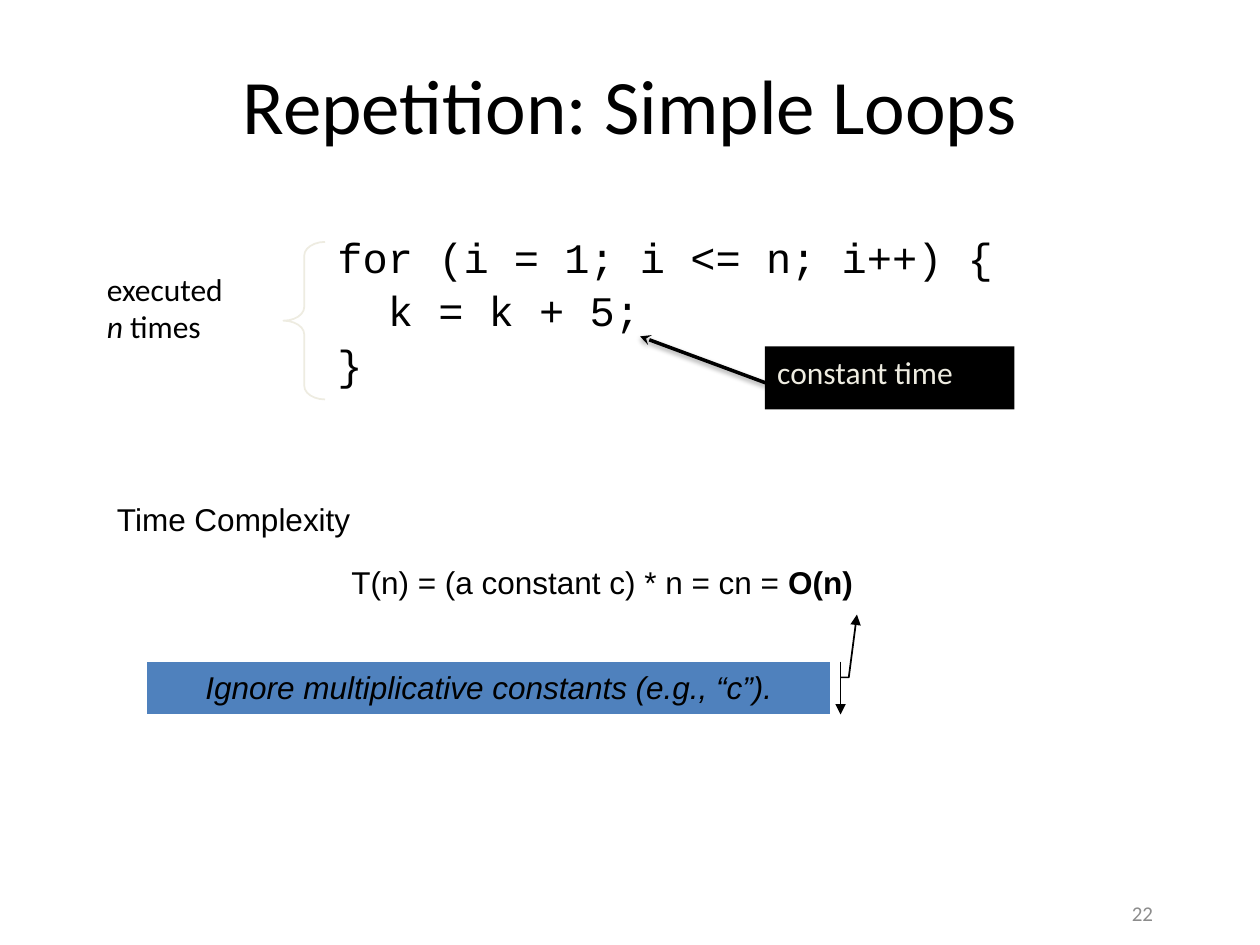
"""Build the slide on the time complexity of simple loops."""
from lxml.etree import SubElement
from pptx import Presentation
from pptx.dml.color import RGBColor
from pptx.enum.shapes import MSO_CONNECTOR, MSO_SHAPE
from pptx.enum.text import MSO_ANCHOR as Anchor, PP_ALIGN as Align
from pptx.oxml.ns import qn
from pptx.util import Inches, Pt

COLORS = {"ink": "000000", "paper": "FFFFFF", "cream": "EEECE1",
          "blue": "4F81BD", "gray": "8C8C8C"}

TITLE = [[("Repetition: Simple Loops", "")]]
CODE = [[("for (i = 1; i <= n; i++) {", "")], [("  k = k + 5;", "")], [("}", "")]]
STEP_COST = [[("constant time", "")]]
REPEATS = [[("executed", "")], [("n", "i"), (" times", "")]]
HEADING = [[("Time Complexity", "")]]
FORMULA = [[("T(n) = (a constant c) * n = cn = ", ""), ("O(n)", "b")]]
RULE = [[("Ignore multiplicative constants (e.g., “c”).", "i")]]
PAGE = [[("22", "")]]

BRACE_CURVE = (0.33, 0.5)
CALLOUT_BENDS = (0.3, 1.015, 0.3, 1.027, -0.887, 1.039)


def color(name):
    return RGBColor.from_string(COLORS[name])


def write(shape, lines, font, size=18, ink="ink", align=Align.LEFT,
          anchor=Anchor.TOP, spacing=None, before=None):
    frame = shape.text_frame
    frame.word_wrap = True
    frame.vertical_anchor = anchor
    for index, line in enumerate(lines):
        paragraph = frame.add_paragraph() if index else frame.paragraphs[0]
        paragraph.alignment = align
        paragraph.line_spacing = spacing
        paragraph.space_before = before
        for text, style in line:
            run = paragraph.add_run()
            run.text = text
            run.font.name = font
            run.font.size = Pt(size)
            run.font.color.rgb = color(ink)
            run.font.bold = style == "b"
            run.font.italic = style == "i"


def paint(shape, fill):
    shape.fill.solid()
    shape.fill.fore_color.rgb = color(fill)


def add_text(box, lines, font, fill=None, **style):
    shape = slide.shapes.add_textbox(*map(Inches, box))
    if fill:
        paint(shape, fill)
    write(shape, lines, font, **style)


def draw_line(shape, ink, width):
    shape.line.color.rgb = color(ink)
    shape.line.width = Pt(width)


def add_outline(kind, box, ink, adjustments):
    shape = slide.shapes.add_shape(kind, *map(Inches, box))
    shape.shadow.inherit = False
    shape.fill.background()
    draw_line(shape, ink, 1)
    for index, value in enumerate(adjustments):
        shape.adjustments[index] = value
    return shape


def add_arrowhead(shape, kind):
    outline = shape._element.spPr.find(qn("a:ln"))
    SubElement(outline, qn("a:tailEnd"), type=kind)


def add_soft_shadow(connector):
    effects = SubElement(connector._element.spPr, qn("a:effectLst"))
    shadow = SubElement(effects, qn("a:outerShdw"), blurRad=str(Pt(3.1)),
                        dist=str(Pt(1.6)), dir="5400000", rotWithShape="0")
    tint = SubElement(shadow, qn("a:srgbClr"), val=COLORS["ink"])
    SubElement(tint, qn("a:alpha"), val="38000")


deck = Presentation()
deck.slide_width, deck.slide_height = Inches(10), Inches(7.5)
slide = deck.slides.add_slide(deck.slide_layouts[6])

add_text((7.17, 7, 2.08, 0.5), PAGE, "Calibri", size=12, ink="gray",
         align=Align.RIGHT, anchor=Anchor.MIDDLE)
add_text((0.75, 0.31, 8.5, 1.02), TITLE, "Calibri", size=44,
         align=Align.CENTER, anchor=Anchor.MIDDLE)
add_text((2.69, 4.42, 5.81, 0.5), FORMULA, "Arial")
add_text((2.58, 1.83, 5.42, 1.75), CODE, "Courier New", fill="paper", size=24,
         spacing=0.9, before=Pt(4.8))
add_text((6.07, 2.75, 1.98, 0.5), STEP_COST, "Calibri", fill="ink", ink="cream")

pointer = slide.shapes.add_connector(
    MSO_CONNECTOR.STRAIGHT, *map(Inches, (6.08, 3.04, 5.08, 2.67)))
draw_line(pointer, "ink", 2)
add_arrowhead(pointer, "stealth")
add_soft_shadow(pointer)

add_text((0.75, 2.09, 1.38, 0.9), REPEATS, "Calibri")
add_outline(MSO_SHAPE.LEFT_BRACE, (2.25, 1.92, 0.33, 1.25), "cream", BRACE_CURVE)

callout = add_outline(MSO_SHAPE.LINE_CALLOUT_2_ACCENT_BAR,
                      (1.17, 5.25, 5.42, 0.42), "ink", CALLOUT_BENDS)
paint(callout, "blue")
add_arrowhead(callout, "triangle")
write(callout, RULE, "Arial", align=Align.CENTER)

add_text((0.83, 3.92, 2.92, 0.5), HEADING, "Arial")

deck.save("out.pptx")
